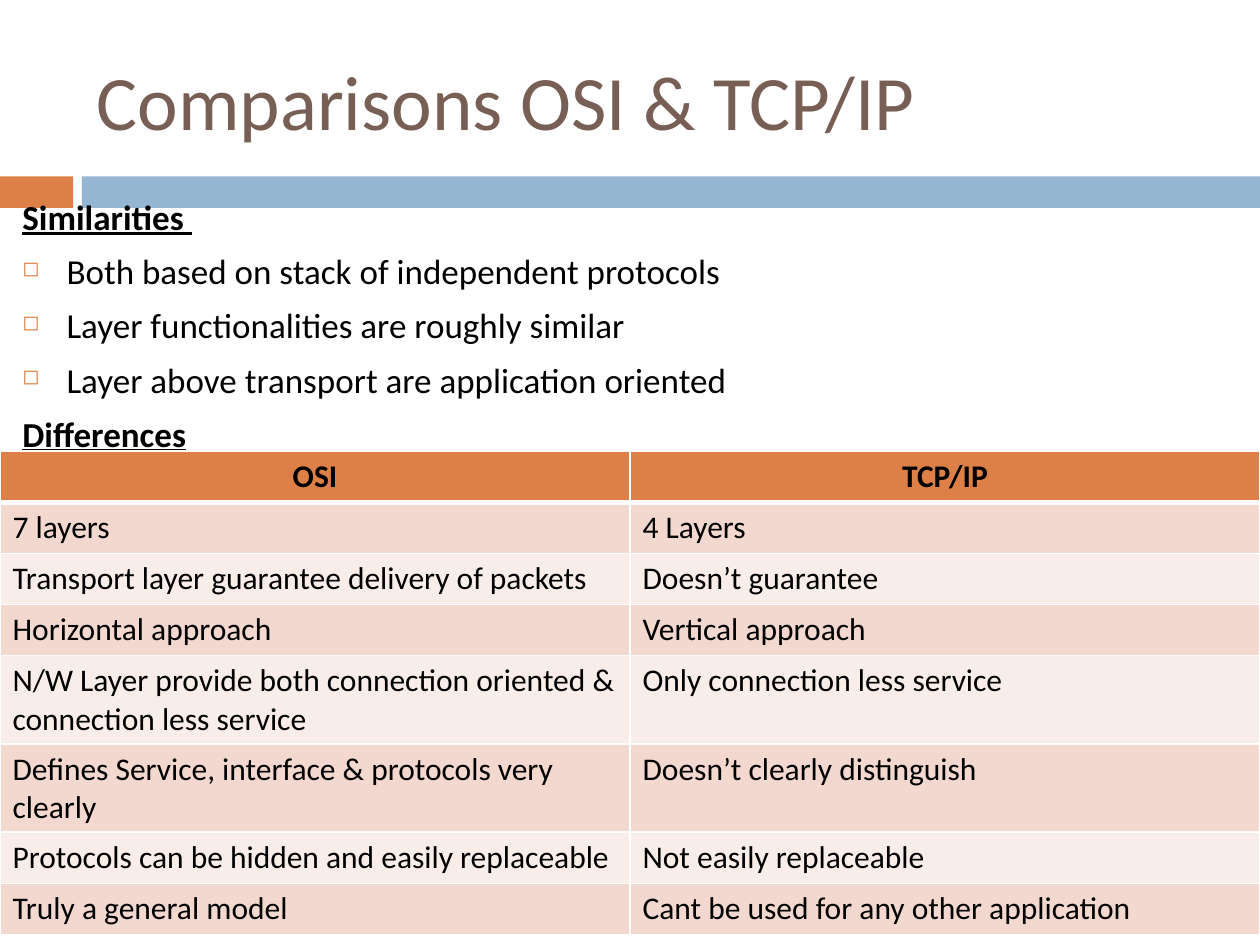
from dataclasses import dataclass

from lxml.etree import SubElement
from pptx import Presentation
from pptx.dml.color import RGBColor
from pptx.enum.shapes import MSO_SHAPE
from pptx.enum.text import MSO_ANCHOR, PP_ALIGN
from pptx.oxml.ns import qn
from pptx.util import Inches, Pt


@dataclass(frozen=True)
class Theme:
    font: str = "Calibri"
    title: str = "775F55"
    text: str = "000000"
    accent: str = "DD8047"
    bar: str = "94B6D2"
    line: str = "FFFFFF"
    bands: tuple = ("F2D8CF", "F9EDE9")
    title_size: int = 44
    body_size: int = 20
    table_size: int = 18


COLUMNS, ROWS = 100, 75

BODY = [
    ("Similarities ", True),
    ("Both based on stack of independent protocols", False),
    ("Layer functionalities are roughly similar", False),
    ("Layer above transport are application oriented", False),
    ("Differences", True),
]

DIFFERENCES = [
    ("OSI", "TCP/IP"),
    ("7 layers", "4 Layers"),
    ("Transport layer guarantee delivery of packets", "Doesn’t guarantee"),
    ("Horizontal approach", "Vertical approach"),
    ("N/W Layer provide both connection oriented & connection less service",
     "Only connection less service"),
    ("Defines Service, interface & protocols very clearly",
     "Doesn’t clearly distinguish"),
    ("Protocols can be hidden and easily replaceable", "Not easily replaceable"),
    ("Truly a general model", "Cant be used for any other application"),
]


class SlideBuilder:
    """Places elements on a grid of COLUMNS by ROWS."""

    def __init__(self, prs, theme):
        self.theme = theme
        self.slide = prs.slides.add_slide(prs.slide_layouts[6])
        self.col = prs.slide_width / COLUMNS
        self.row = prs.slide_height / ROWS

    def box(self, x, y, w, h):
        return (round(x * self.col), round(y * self.row),
                round(w * self.col), round(h * self.row))

    def run(self, p, text, size, color, bold=False, underline=False):
        r = p.add_run()
        r.text = text
        font = r.font
        font.name, font.size = self.theme.font, Pt(size)
        font.bold, font.underline = bold, underline
        font.color.rgb = RGBColor.from_string(color)

    def bar(self, color, *grid):
        sp = self.slide.shapes.add_shape(MSO_SHAPE.RECTANGLE, *self.box(*grid))
        sp.shadow.inherit = False
        sp.fill.solid()
        sp.fill.fore_color.rgb = RGBColor.from_string(color)
        sp.line.fill.background()

    def text_frame(self, grid, anchor):
        tf = self.slide.shapes.add_textbox(*self.box(*grid)).text_frame
        tf.word_wrap = True
        tf.vertical_anchor = anchor
        return tf

    def title(self, text, *grid):
        tf = self.text_frame(grid, MSO_ANCHOR.MIDDLE)
        self.run(tf.paragraphs[0], text, self.theme.title_size, self.theme.title)

    def outline(self, items, *grid):
        """Underlined headings with bulleted points beneath them."""
        tf = self.text_frame(grid, MSO_ANCHOR.TOP)
        for i, (text, heading) in enumerate(items):
            p = tf.add_paragraph() if i else tf.paragraphs[0]
            p.space_before = Pt(7)
            self.indent(p, bulleted=not heading)
            self.run(p, text, self.theme.body_size, self.theme.text,
                     bold=heading, underline=heading)

    def indent(self, p, bulleted):
        pPr = p._p.get_or_add_pPr()
        pPr.set("marL", str(Inches(0.35)))
        pPr.set("indent", str(-Inches(0.35)))
        if not bulleted:
            SubElement(pPr, qn("a:buNone"))
            return
        color = SubElement(pPr, qn("a:buClr"))
        SubElement(color, qn("a:srgbClr"), val=self.theme.accent)
        SubElement(pPr, qn("a:buSzPct"), val="60000")
        SubElement(pPr, qn("a:buChar"), char="◻")

    def table(self, rows, *grid):
        """Two-tone banded table whose first row is the header."""
        shape = self.slide.shapes.add_table(len(rows), len(rows[0]), *self.box(*grid))
        for i, texts in enumerate(rows):
            header = i == 0
            fill = self.theme.accent if header else self.theme.bands[(i - 1) % 2]
            for j, text in enumerate(texts):
                cell = shape.table.cell(i, j)
                self.borders(cell, top=3 if i == 1 else 1, bottom=3 if header else 1)
                cell.fill.solid()
                cell.fill.fore_color.rgb = RGBColor.from_string(fill)
                p = cell.text_frame.paragraphs[0]
                p.alignment = PP_ALIGN.CENTER if header else PP_ALIGN.LEFT
                self.run(p, text, self.theme.table_size, self.theme.text, bold=header)

    def borders(self, cell, top, bottom):
        tcPr = cell._tc.get_or_add_tcPr()
        for side, width in (("L", 1), ("R", 1), ("T", top), ("B", bottom)):
            ln = SubElement(tcPr, qn(f"a:ln{side}"), w=str(Pt(width)))
            fill = SubElement(ln, qn("a:solidFill"))
            SubElement(fill, qn("a:srgbClr"), val=self.theme.line)


def main():
    prs = Presentation()
    prs.slide_width, prs.slide_height = Inches(10), Inches(7.5)
    theme = Theme()
    s = SlideBuilder(prs, theme)
    s.bar(theme.accent, 0, 14, 5.8, 2.5)
    s.bar(theme.bar, 6.5, 14, COLUMNS - 6.5, 2.5)
    s.title("Comparisons OSI & TCP/IP", 6.7, 2.5, 89.2, 10.8)
    s.outline(BODY, 0.8, 15, 98.4, 57.5)
    s.table(DIFFERENCES, 0, 35.8, COLUMNS, 4.06 * len(DIFFERENCES))
    prs.save("out.pptx")


if __name__ == "__main__":
    main()
